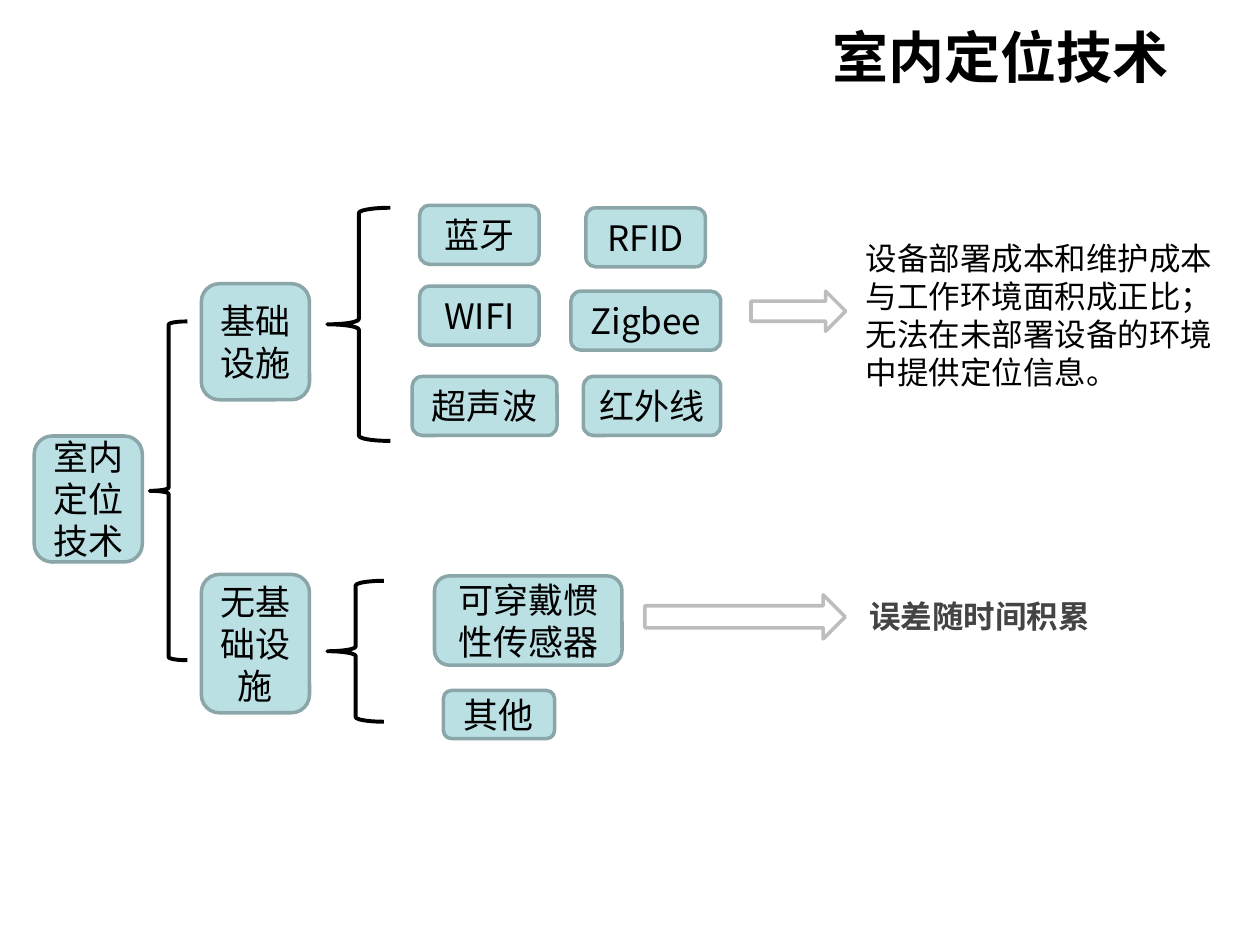
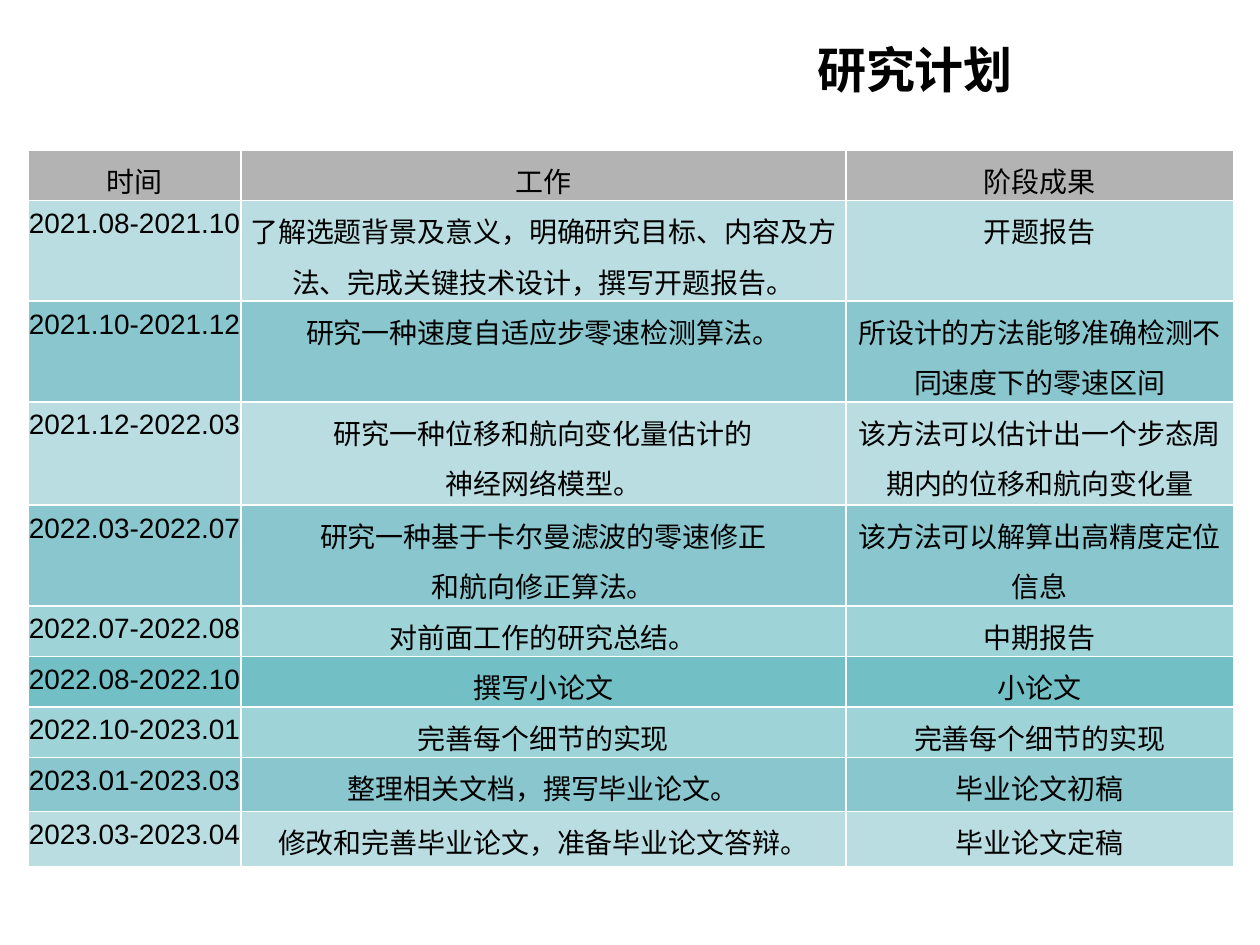
from lxml import etree
from pptx import Presentation
from pptx import util as u
from pptx.dml.color import RGBColor
from pptx.enum import shapes, text
from pptx.oxml import ns

C = {"text": "000000", "note": "444444", "node": "BBE0E3", "edge": "8AA6A8",
     "arrow": "BDBDBD", "white": "FFFFFF", "head": "B3B3B3", "pale": "BADDE1",
     "mid": "8AC6CD", "light": "9ED3D7", "deep": "72BFC5"}
CJK = "Noto Sans CJK SC"
SHAPE = shapes.MSO_SHAPE
ALIGN = text.PP_ALIGN
ANCHOR = text.MSO_ANCHOR

INFRA = {
    "category": ("基础\n设施".replace("\n", ""), (0, 1.58, 2.18, 2.34)),
    "brace": (2.54, 0.05, 1.27, 4.7),
    "methods": [("蓝牙", (4.4, 0, 2.41, 1.19)), ("RFID", (7.75, 0.05, 2.41, 1.19)),
                ("WIFI", (4.4, 1.63, 2.41, 1.19)), ("Zigbee", (7.45, 1.73, 3.02, 1.19)),
                ("超声波", (4.25, 3.45, 2.92, 1.19)), ("红外线", (7.7, 3.45, 2.77, 1.19))],
    "arrow": (11.08, 1.73, 1.91, 0.81),
    "note": ("设备部署成本和维护成本与工作环境面积成正比；\n无法在未部署设备的环境中提供定位信息。",
             (13.14, 0.56, 7.7, 3.33), {}),
}
INFRA["category"] = ("基础设施", INFRA["category"][1])
NO_INFRA = {
    "category": ("无基础设施", (0, 0, 2.18, 2.79)),
    "brace": (2.54, 0.13, 1.14, 2.84),
    "methods": [("可穿戴惯性传感器", (4.7, 0.03, 3.78, 1.8)), ("其他", (4.88, 2.34, 2.24, 0.97))],
    "arrow": (8.94, 0.41, 4.04, 0.89),
    "note": ("误差随时间积累", (13.21, 0.33, 5.13, 1.02), {"bold": True, "color": "note"}),
}
COLUMNS = [4.3, 12.19, 7.82]
PLAN = [
    (0.97, "head", "时间", "工作", "阶段成果"),
    (1.93, "pale", "2021.08-2021.10",
     "了解选题背景及意义，明确研究目标、内容及方法、完成关键技术设计，撰写开题报告。", "开题报告"),
    (2.01, "mid", "2021.10-2021.12", "研究一种速度自适应步零速检测算法。",
     "所设计的方法能够准确检测不同速度下的零速区间"),
    (2.08, "pale", "2021.12-2022.03", "研究一种位移和航向变化量估计的\n神经网络模型。",
     "该方法可以估计出一个步态周期内的位移和航向变化量"),
    (2.01, "mid", "2022.03-2022.07", "研究一种基于卡尔曼滤波的零速修正\n和航向修正算法。",
     "该方法可以解算出高精度定位信息"),
    (0.89, "light", "2022.07-2022.08", "对前面工作的研究总结。", "中期报告"),
    (0.89, "deep", "2022.08-2022.10", "撰写小论文", "小论文"),
    (0.94, "light", "2022.10-2023.01", "完善每个细节的实现", "完善每个细节的实现"),
    (1.09, "mid", "2023.01-2023.03", "整理相关文档，撰写毕业论文。", "毕业论文初稿"),
    (1.12, "pale", "2023.03-2023.04", "修改和完善毕业论文，准备毕业论文答辩。", "毕业论文定稿"),
]


def rgb(name):
    """Return the palette colour with this name."""
    return RGBColor.from_string(C[name])


def cm(box, origin=(0, 0)):
    """Turn a box in centimetres, relative to an origin, into lengths."""
    x, y, w, h = box
    return [u.Cm(v) for v in (x + origin[0], y + origin[1], w, h)]


def write(tf, words, size, align=ALIGN.CENTER, font=CJK, bold=False, color="text", spacing=None):
    """Fill a text frame, one paragraph per line of words."""
    tf.text = words
    tf.word_wrap = True
    for p in tf.paragraphs:
        p.alignment = align
        p.line_spacing = spacing or u.Pt(size * 1.2)
        for r in p.runs:
            for key, value in {"size": u.Pt(size), "name": font, "bold": bold}.items():
                setattr(r.font, key, value)
            r.font.color.rgb = rgb(color)
            etree.SubElement(r.font._element, ns.qn("a:ea")).set("typeface", CJK)


def add_titled_slide(prs, title, box, size):
    """Add a slide whose title placeholder sits in the given box."""
    s = prs.slides.add_slide(prs.slide_layouts[5])
    sp = s.shapes.title
    for key, value in zip(("left", "top", "width", "height"), cm(box)):
        setattr(sp, key, value)
    write(sp.text_frame, title, size, bold=True)
    sp.text_frame.auto_size = text.MSO_AUTO_SIZE.NONE
    sp.text_frame.vertical_anchor = ANCHOR.TOP
    return s


def add_figure(s, kind, box, origin, line, weight, fill=None):
    """Add a preset shape without shadow."""
    sp = s.shapes.add_shape(kind, *cm(box, origin))
    sp.shadow.inherit = False
    sp.line.color.rgb = rgb(line)
    sp.line.width = u.Pt(weight)
    if fill:
        sp.fill.solid()
        sp.fill.fore_color.rgb = rgb(fill)
    else:
        sp.fill.background()
    return sp


def add_node(s, words, box, origin=(0, 0)):
    """Add a rounded box of the tree."""
    sp = add_figure(s, SHAPE.ROUNDED_RECTANGLE, box, origin, "edge", 2, "node")
    write(sp.text_frame, words, 20)
    sp.text_frame.vertical_anchor = ANCHOR.MIDDLE


def add_brace(s, box, origin=(0, 0)):
    """Add a left brace that opens a level of the tree."""
    add_figure(s, SHAPE.LEFT_BRACE, box, origin, "text", 2.25)


def add_branch(s, origin, branch):
    """Add a category, its methods and the note on them."""
    add_node(s, *branch["category"], origin)
    add_brace(s, branch["brace"], origin)
    for words, box in branch["methods"]:
        add_node(s, words, box, origin)
    add_figure(s, SHAPE.RIGHT_ARROW, branch["arrow"], origin, "arrow", 2, "white")
    words, box, style = branch["note"]
    tf = s.shapes.add_textbox(*cm(box, origin)).text_frame
    write(tf, words, 18, ALIGN.LEFT, **style)


def set_borders(cell):
    """Give a cell thin white borders."""
    tc_pr = cell._tc.get_or_add_tcPr()
    for i, side in enumerate(("lnL", "lnR", "lnT", "lnB")):
        ln = etree.Element(ns.qn(f"a:{side}"), w=str(u.Pt(1)))
        fill = etree.SubElement(ln, ns.qn("a:solidFill"))
        etree.SubElement(fill, ns.qn("a:srgbClr"), val=C["white"])
        tc_pr.insert(i, ln)


def add_plan_table(s, box):
    """Add the schedule table in the given box."""
    table = s.shapes.add_table(len(PLAN), len(COLUMNS), *cm(box)).table
    table.first_row = table.horz_banding = False
    for column, width in zip(table.columns, COLUMNS):
        column.width = u.Cm(width)
    for row, (height, fill, *entries) in zip(table.rows, PLAN):
        row.height = u.Cm(height)
        for cell, words in zip(row.cells, entries):
            for side in ("left", "right", "top", "bottom"):
                setattr(cell, f"margin_{side}", 0)
            cell.fill.solid()
            cell.fill.fore_color.rgb = rgb(fill)
            set_borders(cell)
            font = "Times New Roman" if words == "撰写小论文" else "Arial"
            write(cell.text_frame, words, 16, font=font, spacing=1.25)


def technology_slide(prs):
    """Build the tree of positioning technologies."""
    s = add_titled_slide(prs, "室内定位技术", (12.83, 0.33, 14.7, 3.18), 32)
    add_node(s, "室内定位技术", (0.69, 8.79, 2.18, 2.54))
    add_brace(s, (3.02, 6.48, 0.76, 6.83))
    add_branch(s, (4.06, 4.14), INFRA)
    add_branch(s, (4.06, 11.58), NO_INFRA)


def plan_slide(prs):
    """Build the research schedule."""
    s = add_titled_slide(prs, "研究计划", (14.05, 0.66, 8.79, 1.42), 28)
    add_plan_table(s, (0.56, 3.02, sum(COLUMNS), sum(row[0] for row in PLAN)))


def main():
    """Build and save the presentation."""
    prs = Presentation()
    prs.slide_width, prs.slide_height = u.Cm(25.4), u.Cm(19.05)
    technology_slide(prs)
    plan_slide(prs)
    prs.save("out.pptx")


if __name__ == "__main__":
    main()
